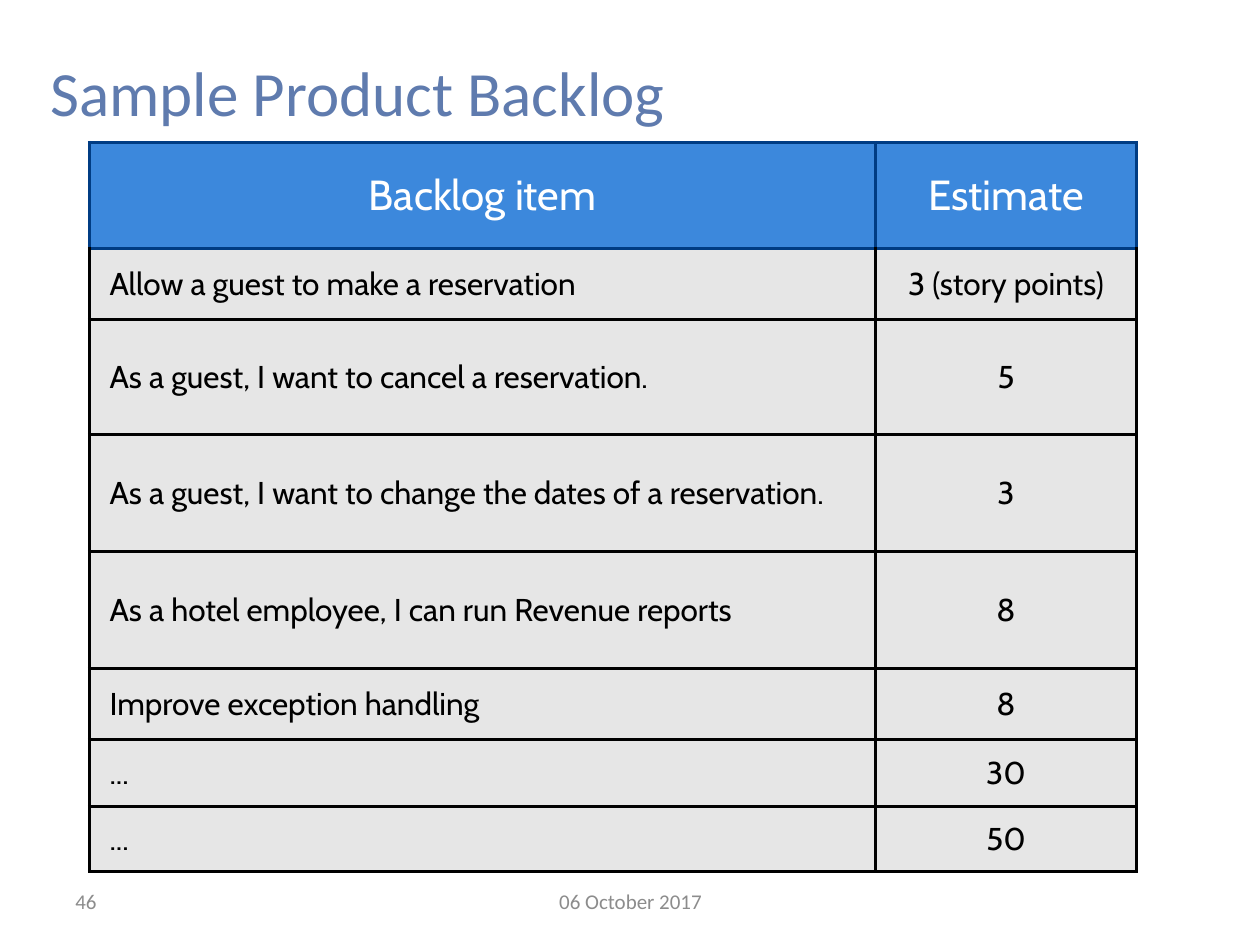
from lxml.etree import SubElement
from pptx import Presentation
from pptx.dml.color import RGBColor
from pptx.enum.text import MSO_ANCHOR, PP_ALIGN
from pptx.oxml import parse_xml
from pptx.oxml.ns import nsdecls, qn
from pptx.util import Inches, Pt

TITLE = "Sample Product Backlog"
HEADER = ("Backlog item", "Estimate")
BACKLOG = [
    ("Allow a guest to make a reservation", "3 (story points)"),
    ("As a guest, I want to cancel a reservation.", "5"),
    ("As a guest, I want to change the dates of a reservation.", "3"),
    ("As a hotel employee, I can run Revenue reports", "8"),
    ("Improve exception handling", "8"),
    ("...", "30"),
    ("...", "50"),
]
FOOTERS = [
    ("46", 0.5, 2.33, PP_ALIGN.LEFT),
    ("06 October 2017", 3.42, 3.17, PP_ALIGN.CENTER),
]
COLUMN_WIDTHS = (6.24, 2.07)
ROW_HEIGHTS = (0.84, 0.57, 0.91, 0.93, 0.93, 0.56, 0.53, 0.52)
CELL_MARGIN = 0.04
ITEM_INDENT = 0.12
HEADER_LINE, BODY_LINE = "003C83", "000000"


def color(value):
    return RGBColor.from_string(value)


def write(frame, text, size, font, fill, align=PP_ALIGN.LEFT, indent=0):
    para = frame.paragraphs[0]
    para.alignment = align
    if indent:
        properties = para._p.get_or_add_pPr()
        properties.set("marL", str(Inches(indent)))
        properties.set("indent", "0")
    span = para.add_run()
    span.text = text
    span.font.size = Pt(size)
    span.font.name = font
    span.font.color.rgb = color(fill)


def set_margins(target, margin):
    target.margin_left = target.margin_right = Inches(margin)
    target.margin_top = target.margin_bottom = Inches(margin)


def set_borders(cell, colors):
    """Draw 2 pt borders; colors run left, right, top, bottom."""
    properties = cell._tc.get_or_add_tcPr()
    for index, (side, value) in enumerate(zip("LRTB", colors)):
        line = parse_xml(f'<a:ln{side} {nsdecls("a")} w="{Pt(2)}"/>')
        fill = SubElement(line, qn("a:solidFill"))
        SubElement(fill, qn("a:srgbClr"), val=value)
        properties.insert(index, line)


def add_backlog(slide):
    rows = [HEADER, *BACKLOG]
    table = slide.shapes.add_table(
        len(rows), len(HEADER), Inches(0.71), Inches(1.13),
        Inches(sum(COLUMN_WIDTHS)), Inches(sum(ROW_HEIGHTS))).table
    for column, width in zip(table.columns, COLUMN_WIDTHS):
        column.width = Inches(width)
    for row, height in zip(table.rows, ROW_HEIGHTS):
        row.height = Inches(height)

    for row_index, texts in enumerate(rows):
        is_header = row_index == 0
        side = HEADER_LINE if is_header else BODY_LINE
        top = HEADER_LINE if row_index <= 1 else BODY_LINE
        for column_index, text in enumerate(texts):
            cell = table.cell(row_index, column_index)
            cell.vertical_anchor = MSO_ANCHOR.MIDDLE
            set_margins(cell, CELL_MARGIN)
            cell.fill.solid()
            cell.fill.fore_color.rgb = color("3C88DC" if is_header else "E6E6E6")
            set_borders(cell, (side, side, top, side))
            is_item = column_index == 0 and not is_header
            write(cell.text_frame, text, 24 if is_header else 18, "Cabin",
                  "FFFFFF" if is_header else "000000",
                  align=PP_ALIGN.LEFT if is_item else PP_ALIGN.CENTER,
                  indent=ITEM_INDENT if is_item else 0)


def main():
    deck = Presentation()
    deck.slide_width, deck.slide_height = Inches(10), Inches(7.5)
    slide = deck.slides.add_slide(deck.slide_layouts[5])

    title = slide.shapes.title
    title.left, title.top = Inches(0.36), Inches(0.14)
    title.width, title.height = Inches(9.85), Inches(1.17)
    title.text_frame.vertical_anchor = MSO_ANCHOR.MIDDLE
    set_margins(title.text_frame, CELL_MARGIN)
    write(title.text_frame, TITLE, 36, "Calibri", "5F7BAE")

    add_backlog(slide)

    for text, left, width, align in FOOTERS:
        box = slide.shapes.add_textbox(
            Inches(left), Inches(6.95), Inches(width), Inches(0.4))
        box.text_frame.word_wrap = True
        box.text_frame.vertical_anchor = MSO_ANCHOR.MIDDLE
        write(box.text_frame, text, 12, "Calibri", "8C8C8C", align=align)

    deck.save("out.pptx")


if __name__ == "__main__":
    main()
